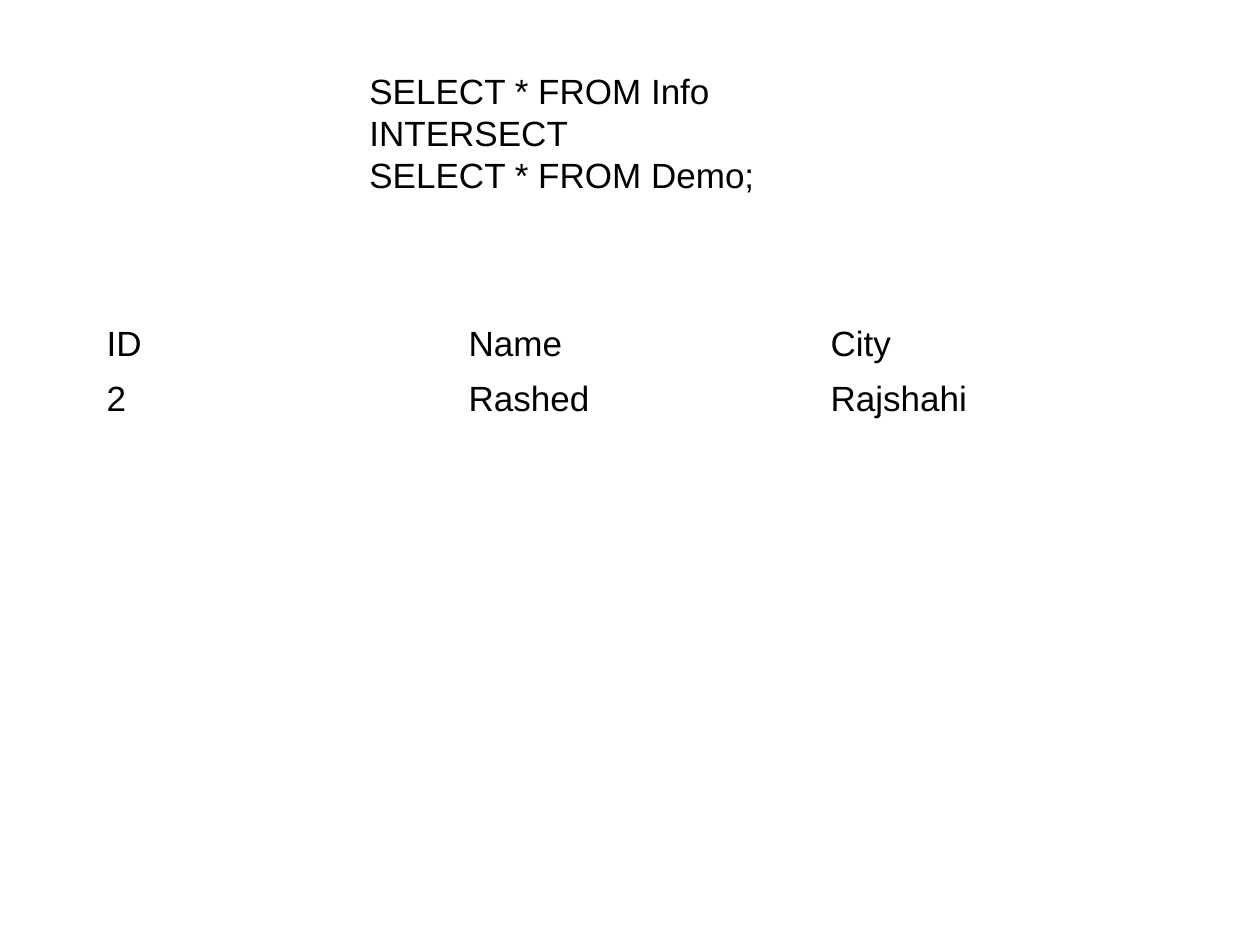
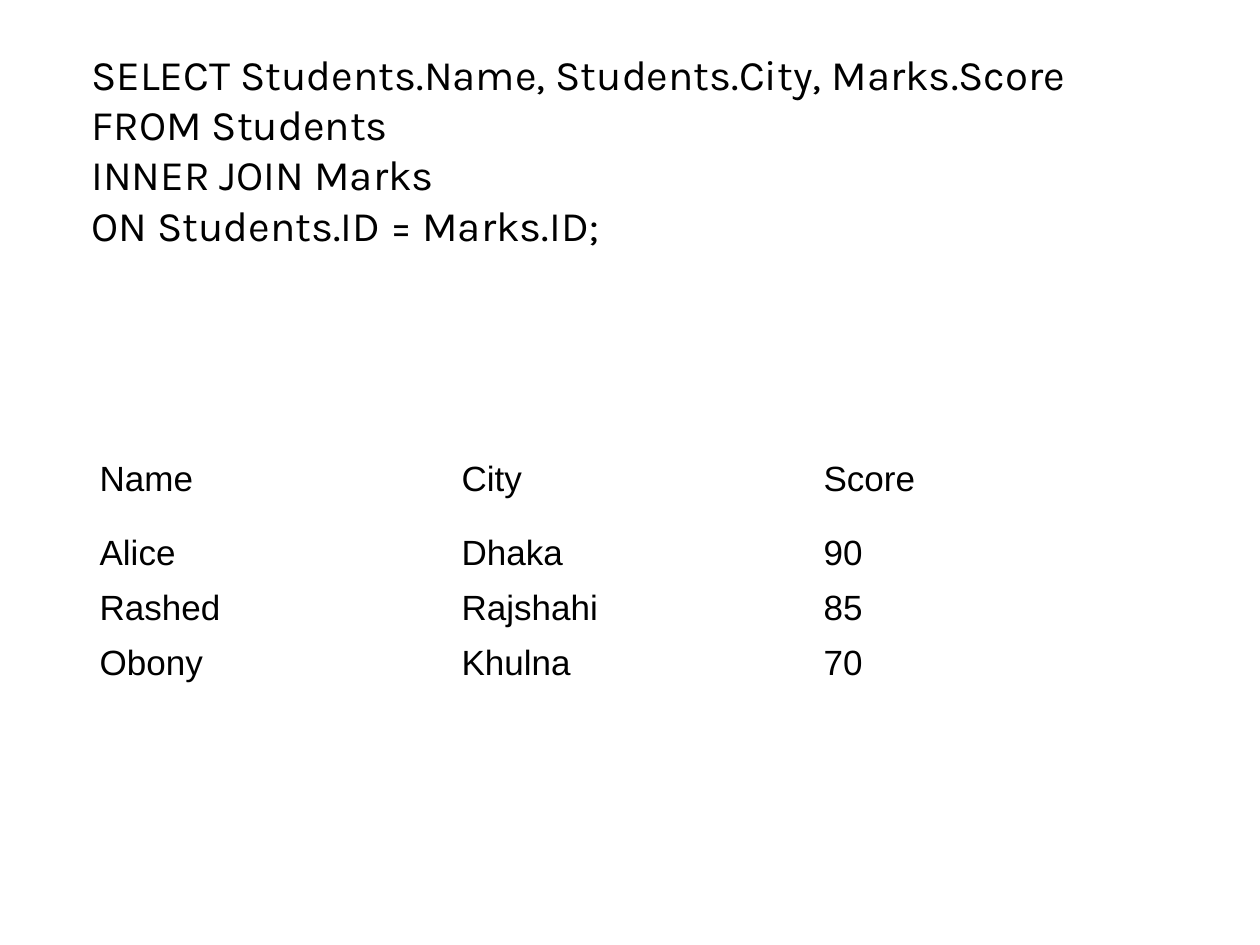
from pptx import Presentation
from pptx.dml.color import RGBColor
from pptx.enum.text import MSO_ANCHOR as Anchor
from pptx.util import Pt

PX = 914400 // 126
COLORS = {"page": "FFFFFF", "text": "000000"}
LINE_RATIO = 1.2
COLUMN_WIDTH = 362
ROW_HEIGHT = 55
TABLE_FORMAT = {"first_row": False, "horz_banding": False}
BODY_FORMAT = {"name": "Arial", "size": Pt(20)}
JOIN_FORMAT = {"name": "Karla", "size": Pt(24)}

SLIDES = [
    {
        "query": ["SELECT * FROM Info", "INTERSECT", "SELECT * FROM Demo;"],
        "query_box": (357, 63, 630, 140),
        "query_format": BODY_FORMAT,
        "rows": [("ID", "Name", "City"), ("2", "Rashed", "Rajshahi")],
        "table_corner": (94, 315),
        "header_height": ROW_HEIGHT,
    },
    {
        "query": [
            "SELECT Students.Name, Students.City, Marks.Score",
            "FROM Students",
            "INNER JOIN Marks",
            "ON Students.ID = Marks.ID;",
        ],
        "query_box": (79, 42, 1102, 217),
        "query_format": JOIN_FORMAT,
        "rows": [
            ("Name", "City", "Score"),
            ("Alice", "Dhaka", "90"),
            ("Rashed", "Rajshahi", "85"),
            ("Obony", "Khulna", "70"),
        ],
        "table_corner": (87, 432),
        "header_height": 92,
    },
]


def set_all(target, values):
    """Set every attribute named in a dict of format values."""
    for name, value in values.items():
        setattr(target, name, value)


def write_lines(frame, lines, font_format):
    """Fill a text frame with one paragraph per line."""
    for index, line in enumerate(lines):
        para = frame.add_paragraph() if index else frame.paragraphs[0]
        para.line_spacing = Pt(font_format["size"].pt * LINE_RATIO)
        span = para.add_run()
        span.text = line
        set_all(span.font, font_format)
        span.font.color.rgb = RGBColor.from_string(COLORS["text"])


def add_query(page, box, lines, font_format):
    """Place the SQL query in its box."""
    frame = page.shapes.add_textbox(*(length * PX for length in box)).text_frame
    frame.word_wrap = True
    write_lines(frame, lines, font_format)


def add_result(page, corner, rows, header_height):
    """Place the result table with its top left at the corner."""
    left, top = corner
    heights = [header_height] + [ROW_HEIGHT] * (len(rows) - 1)
    width = COLUMN_WIDTH * len(rows[0])
    table = page.shapes.add_table(
        len(rows), len(rows[0]), left * PX, top * PX, width * PX, sum(heights) * PX
    ).table
    set_all(table, TABLE_FORMAT)
    for column in table.columns:
        column.width = COLUMN_WIDTH * PX
    for table_row, height, values in zip(table.rows, heights, rows):
        table_row.height = height * PX
        for cell, value in zip(table_row.cells, values):
            cell.fill.background()
            cell.vertical_anchor = Anchor.MIDDLE
            write_lines(cell.text_frame, [value], BODY_FORMAT)


def add_query_slide(deck, content):
    """Add a slide with a query above its result."""
    page = deck.slides.add_slide(deck.slide_layouts[6])
    fill = page.background.fill
    fill.solid()
    fill.fore_color.rgb = RGBColor.from_string(COLORS["page"])
    add_query(page, content["query_box"], content["query"], content["query_format"])
    add_result(page, content["table_corner"], content["rows"], content["header_height"])


def main():
    """Build and save the deck."""
    deck = Presentation()
    set_all(deck, {"slide_width": 1260 * PX, "slide_height": 945 * PX})
    for content in SLIDES:
        add_query_slide(deck, content)
    deck.save("out.pptx")


if __name__ == "__main__":
    main()
